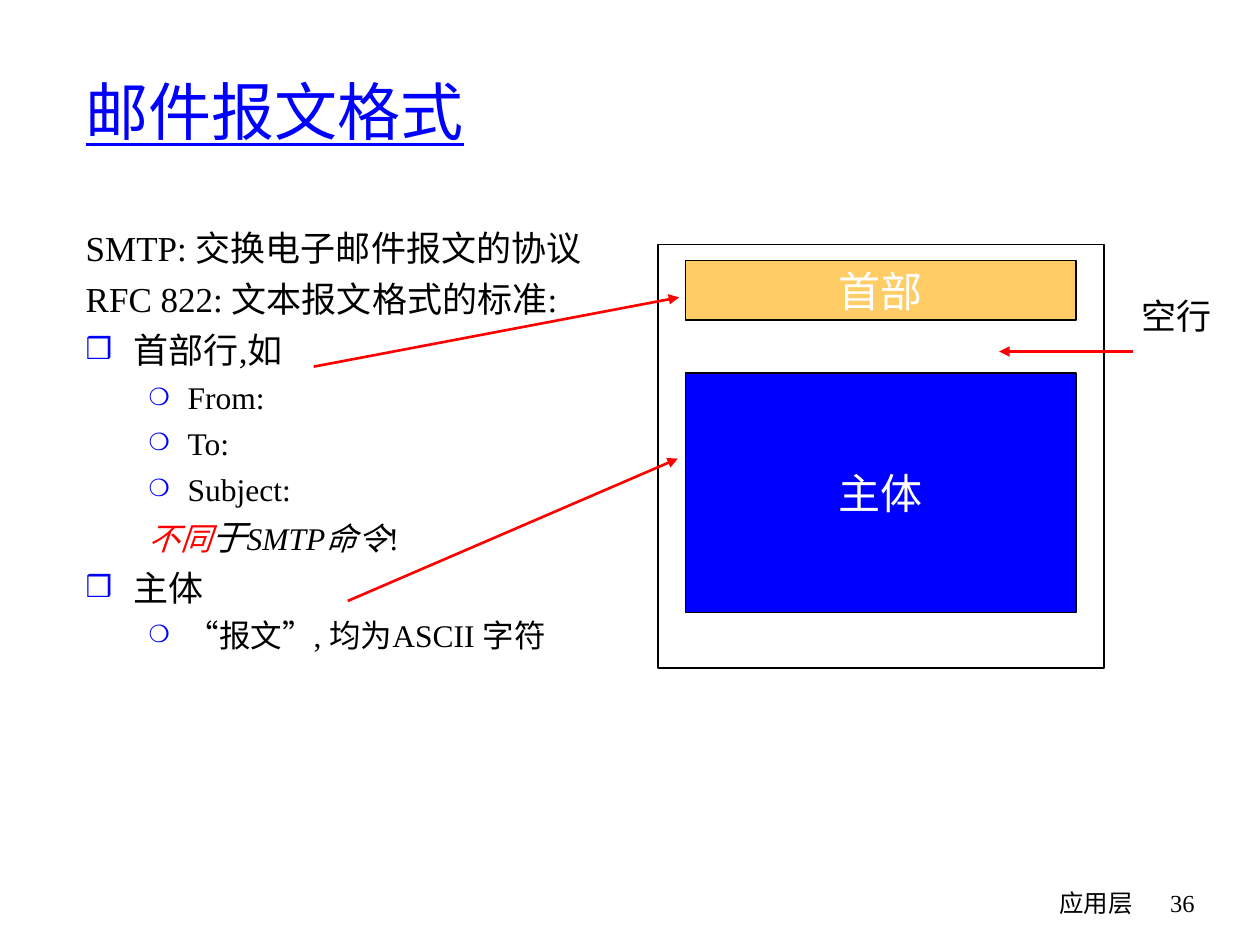
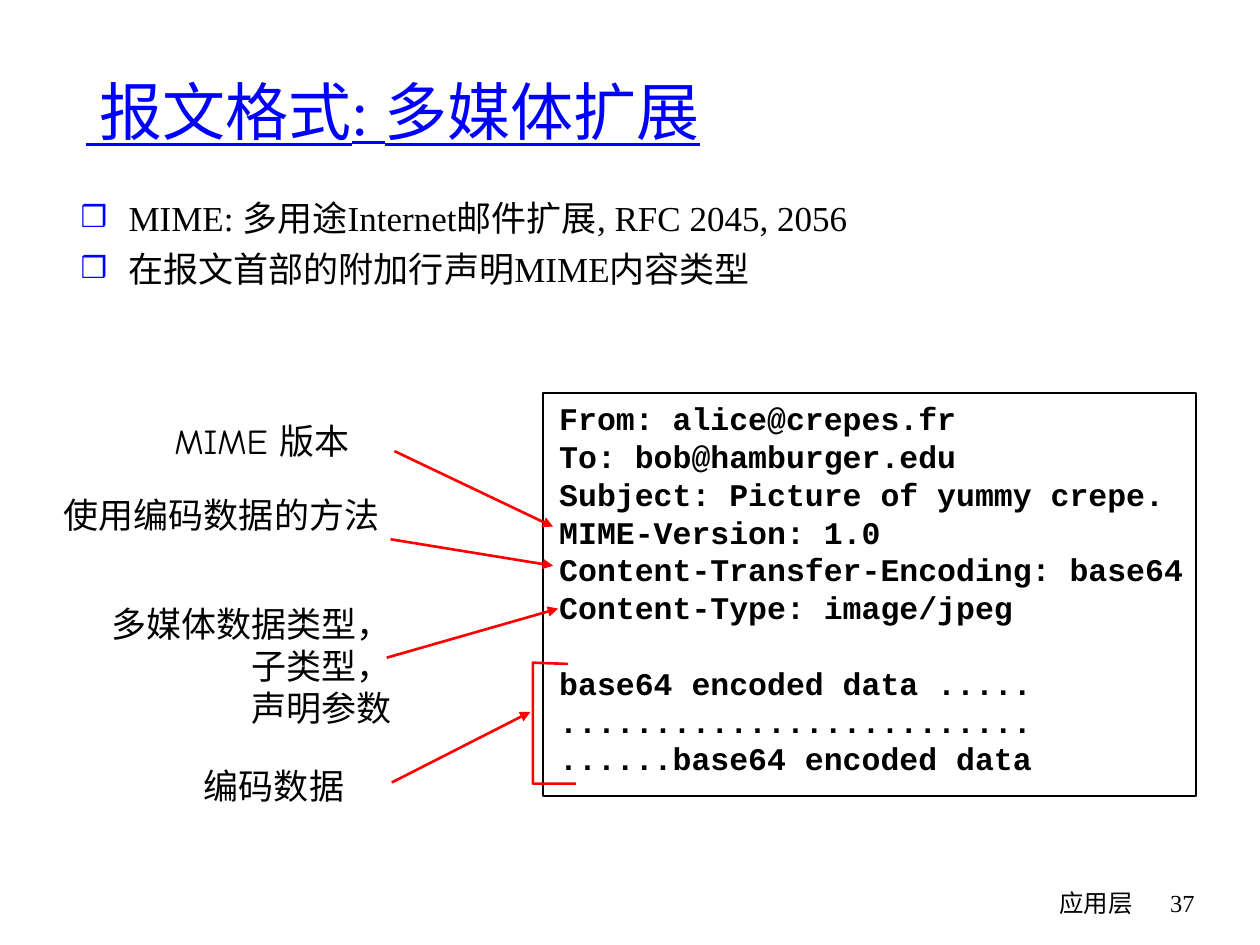
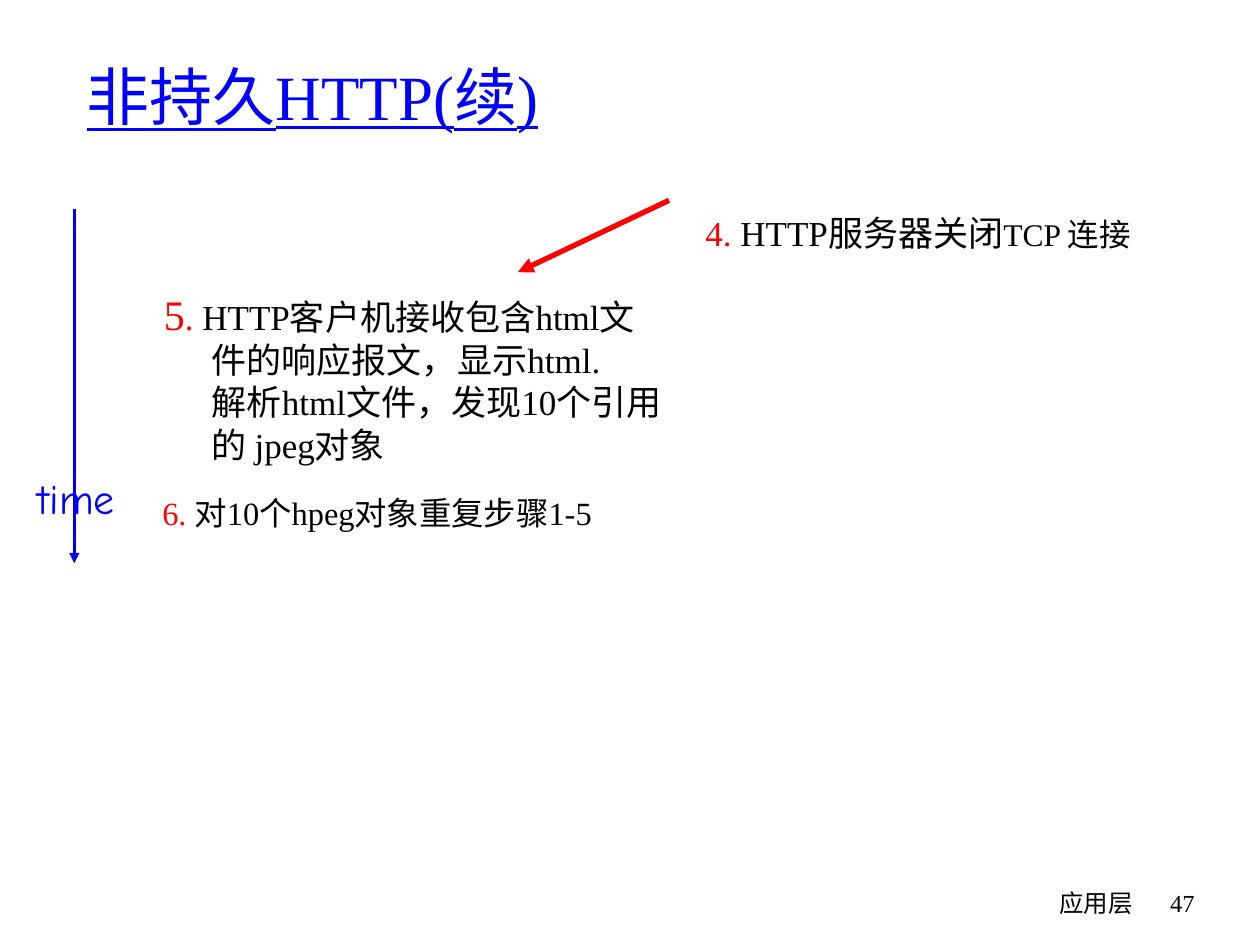
from collections import namedtuple
from dataclasses import dataclass

from lxml import etree
from pptx import Presentation
from pptx.dml.color import RGBColor as RGB
from pptx.enum.shapes import MSO_CONNECTOR as CONN, MSO_SHAPE as SHAPE
from pptx.enum.text import MSO_ANCHOR as ANCHOR, MSO_AUTO_SIZE as AUTO, PP_ALIGN as ALIGN
from pptx.oxml.ns import qn
from pptx.util import Inches, Pt


@dataclass(frozen=True)
class Theme:
    black: RGB = RGB(0, 0, 0)
    white: RGB = RGB(255, 255, 255)
    blue: RGB = RGB(0, 0, 255)
    red: RGB = RGB(255, 0, 0)
    sand: RGB = RGB(0xFF, 0xCC, 0x66)
    serif: str = "Times New Roman"
    comic: str = "Comic Neue"
    mono: str = "Courier New"
    title: float = 36
    large: float = 24
    body: float = 20
    step: float = 18.5
    sub: float = 18
    footer: float = 14


T = Theme()
COLS, ROWS = 120, 90
CELL = Inches(10) // COLS


def cells(n):
    return Inches(round(n * CELL / Inches(1), 2))


class Box(namedtuple("Box", "x y w h")):
    """Area of the slide grid, in columns and rows."""

    def sub(self, x, y, w, h):
        return Box(self.x + x, self.y + y, w, h)

    def point(self, x, y):
        return cells(self.x + x), cells(self.y + y)

    def emu(self):
        return [cells(v) for v in self]


# Paragraph kinds: level, left margin, hanging indent, space before, bullet, bullet size
Kind = namedtuple("Kind", "level left hang before bullet scale")
KINDS = {
    "plain": Kind(0, 0, 0, 0, None, 0),
    "hang": Kind(0, 0.38, 0.38, 5, None, 0),
    "item": Kind(0, 0.38, 0.38, 5, "❒", 85),
    "subitem": Kind(1, 0.81, 0.31, 4.5, "❍", 75),
    "note": Kind(1, 0.81, 0.31, 4.5, None, 0),
}


# Text
def style(size=T.body, name=T.serif, color=T.black, **more):
    return dict(size=Pt(size), name=name, color=color, **more)


def format_font(font, fmt):
    for key, value in fmt.items():
        if key == "color":
            font.color.rgb = value
        else:
            setattr(font, key, value)


def format_paragraph(p, kind, first):
    k = KINDS[kind]
    p.level = k.level
    pPr = p._p.get_or_add_pPr()
    pPr.set("marL", str(Inches(k.left)))
    pPr.set("indent", str(-Inches(k.hang)))
    if k.bullet:
        color = etree.SubElement(pPr, qn("a:buClr"))
        etree.SubElement(color, qn("a:srgbClr"), val=str(T.blue))
        etree.SubElement(pPr, qn("a:buSzPct"), val=str(k.scale * 1000))
        etree.SubElement(pPr, qn("a:buChar"), char=k.bullet)
    else:
        etree.SubElement(pPr, qn("a:buNone"))
    p.space_before = Pt(0 if first else k.before)


def write(shape, paras, align=ALIGN.LEFT, anchor=ANCHOR.TOP, wrap=True):
    """Each paragraph is (kind, [(text, format), ...]); \\v is a line break."""
    tf = shape.text_frame
    frame = dict(word_wrap=wrap, auto_size=AUTO.NONE, vertical_anchor=anchor,
                 margin_left=Inches(0.1), margin_right=Inches(0.1),
                 margin_top=Inches(0.05), margin_bottom=Inches(0.05))
    for key, value in frame.items():
        setattr(tf, key, value)
    for i, (kind, runs) in enumerate(paras):
        p = tf.add_paragraph() if i else tf.paragraphs[0]
        format_paragraph(p, kind, first=i == 0)
        p.alignment = align
        for text, fmt in runs:
            for j, part in enumerate(text.split("\v")):
                if j:
                    p.add_line_break()
                r = p.add_run()
                r.text = part
                format_font(r.font, fmt)
    return tf


def lines(text, fmt, kind="plain"):
    return [(kind, [(line, fmt)]) for line in text.split("\n")]


def text_box(s, box, paras, **options):
    return write(s.shapes.add_textbox(*box.emu()), paras, **options)


# Shapes
def outline(shape, color, width):
    shape.line.color.rgb = color
    shape.line.width = Pt(width)


def rect(s, box, width, fill=None):
    sp = s.shapes.add_shape(SHAPE.RECTANGLE, *box.emu())
    sp.shadow.inherit = False
    if fill is None:
        sp.fill.background()
    else:
        sp.fill.solid()
        sp.fill.fore_color.rgb = fill
    outline(sp, T.black, width)
    return sp


def arrow(s, start, end, color=T.red, width=1.5):
    line = s.shapes.add_connector(CONN.STRAIGHT, *start, *end)
    outline(line, color, width)
    etree.SubElement(line.line._get_or_add_ln(), qn("a:tailEnd"), type="triangle")
    etree.SubElement(line._element.spPr, qn("a:effectLst"))


# Parts shared by all slides
def move(shape, box):
    shape.left, shape.top, shape.width, shape.height = box.emu()


def base_slide(prs, number, title, title_box, paras, body_box):
    s = prs.slides.add_slide(prs.slide_layouts[1])
    head, body = s.placeholders
    move(head, title_box)
    write(head, lines(title, style(T.title, color=T.blue, underline=True)),
          anchor=ANCHOR.MIDDLE)
    move(body, body_box)
    write(body, paras)
    footer(s, Box(71, 84, 44, 6), number)
    return s


def footer(s, box, number):
    for text, font, x, w in (("应用层", T.comic, 0, 38), (str(number), T.serif, 38, 6)):
        text_box(s, box.sub(x, 0, w, box.h), lines(text, style(T.footer, font)),
                 align=ALIGN.RIGHT)


# Message format slide
def message_diagram(s, box):
    for text, fill, y, h in (("首部", T.sand, 1.56, 5.64), ("主体", T.blue, 12.24, 22.8)):
        part = rect(s, box.sub(2.64, y, 37.2, h), 0.75, fill)
        write(part, lines(text, style(T.large, T.comic, T.white)),
              align=ALIGN.CENTER, anchor=ANCHOR.MIDDLE, wrap=False)
    rect(s, box, 1)
    text_box(s, box.sub(44.9, 4.2, 9, 5.3), lines("空行", style(name=T.comic)),
             align=ALIGN.CENTER, wrap=False)
    for start, end in (((-32.7, 11.6), (2.1, 5)),
                       ((-29.5, 33.9), (2, 20.4)),
                       ((45.3, 10.2), (32.6, 10.2))):
        arrow(s, box.point(*start), box.point(*end))


def format_slide(prs):
    text, sub = style(), style(T.sub)
    quote = style(T.sub, T.comic)
    paras = [
        *lines("SMTP: 交换电子邮件报文的协议\nRFC 822: 文本报文格式的标准:", text, "hang"),
        *lines("首部行,如", text, "item"),
        *lines("From:\nTo:\nSubject:", sub, "subitem"),
        ("note", [("不同", style(T.sub, color=T.red, italic=True)),
                  ("于", style(italic=True)),
                  ("SMTP命令", style(T.sub, italic=True)),
                  ("!", sub)]),
        *lines("主体", text, "item"),
        ("subitem", [("“", quote), ("报文", sub), ("”", quote), (", 均为ASCII 字符", sub)]),
    ]
    s = base_slide(prs, 36, "邮件报文格式", Box(7, 3, 102, 15), paras, Box(7, 21, 50, 61))
    message_diagram(s, Box(62.6, 23.3, 42.5, 40.3))


# Multimedia extension slide
MAIL_HEAD = """From: alice@crepes.fr
To: bob@hamburger.edu
Subject: Picture of yummy crepe.
MIME-Version: 1.0
Content-Transfer-Encoding: base64
Content-Type: image/jpeg"""
MAIL_BODY = """base64 encoded data .....
.........................
......base64 encoded data"""


def mail_sample(s, box):
    code = style(T.sub, T.mono, bold=True)
    head = lines(MAIL_HEAD, code)
    tf = text_box(s, box.sub(0.4, 0, 65.3, 40.8), head + lines(MAIL_BODY, code))
    tf.paragraphs[len(head)].space_before = Pt(1.2 * T.sub)
    rect(s, box, 1)


def data_bracket(s, box):
    start, *rest = [box.point(*at) for at in
                    ((2.4, 25.8), (-0.9, 25.7), (-0.9, 37.2), (3.1, 37.2))]
    builder = s.shapes.build_freeform(*start)
    builder.add_line_segments(rest, close=False)
    bracket = builder.convert_to_shape()
    bracket.shadow.inherit = False
    bracket.fill.background()
    outline(bracket, T.red, 1.5)


def callouts(s, box):
    right, center = ALIGN.RIGHT, ALIGN.CENTER
    for text, align, x, y, w, start, end in (
            ("MIME 版本", center, 10.1, 0, 19.9, (32.7, 3.6), (47.8, 10.8)),
            ("使用编码数据的方法", right, 0, 7, 32.4, (32.3, 12), (47.8, 14.5)),
            ("多媒体数据类型，\n子类型，\n声明参数", right, 4.6, 17.4, 29, (31.9, 23.2), (48.3, 18.6)),
            ("编码数据", center, 13.3, 32.8, 15.7, (32.4, 35.1), (45.6, 28.4))):
        paras = lines(text, style(name=T.comic))
        text_box(s, box.sub(x, y, w, 1.3 + 4 * len(paras)), paras, align=align, wrap=False)
        arrow(s, box.point(*start), box.point(*end))


def mime_slide(prs):
    paras = lines("MIME: 多用途Internet邮件扩展, RFC 2045, 2056\n"
                  "在报文首部的附加行声明MIME内容类型", style(), "item")
    s = base_slide(prs, 37, " 报文格式: 多媒体扩展", Box(7, 3, 110, 15),
                   paras, Box(6.5, 18.1, 96, 61))
    sample = Box(51.7, 37.4, 62.2, 38.4)
    mail_sample(s, sample)
    callouts(s, Box(4.9, 39.4, 48.3, 38))
    data_bracket(s, sample)


# Non-persistent HTTP slide
def time_axis(s, box):
    arrow(s, box.point(4.7, 0), box.point(4.7, box.h), T.blue)
    text_box(s, box.sub(0, 24.5, box.w, 6), lines("time", style(T.large, T.comic, T.blue)),
             align=ALIGN.CENTER, wrap=False)


def http_steps(s, box):
    tf = text_box(s, box.sub(0, 27.2, 50, 8.8), [
        ("hang", [("6. ", style(T.step, color=T.red)),
                  ("对10个hpeg对象重复步骤1-5", style(T.step))])])
    tf.paragraphs[0].line_spacing = 0.9
    text_box(s, box.sub(51.7, 0, 50, 9.6), [
        ("hang", [("4.", style(color=T.red)), (" HTTP服务器关闭", style()),
                  ("TCP 连接", style(T.sub))])])
    arrow(s, box.point(49.4, -0.5), box.point(35, 6.3), width=3)


def http_slide(prs):
    paras = [("hang", [
        ("5", style(T.large, color=T.red)), (".", style(color=T.red)),
        (" HTTP客户机接收包含html文件的响应报文，显示html.\v"
         "解析html文件，发现10个引用的 jpeg对象", style())])]
    s = base_slide(prs, 47, "非持久HTTP(续)", Box(7.1, 3.4, 102, 11.4),
                   paras, Box(14.4, 26.9, 50, 20.2))
    http_steps(s, Box(14.3, 19.6, 101.7, 36))
    time_axis(s, Box(2.4, 19.9, 9.7, 33.7))


def main():
    prs = Presentation()
    prs.slide_width, prs.slide_height = CELL * COLS, CELL * ROWS
    for build in (format_slide, mime_slide, http_slide):
        build(prs)
    prs.save("out.pptx")


if __name__ == "__main__":
    main()
